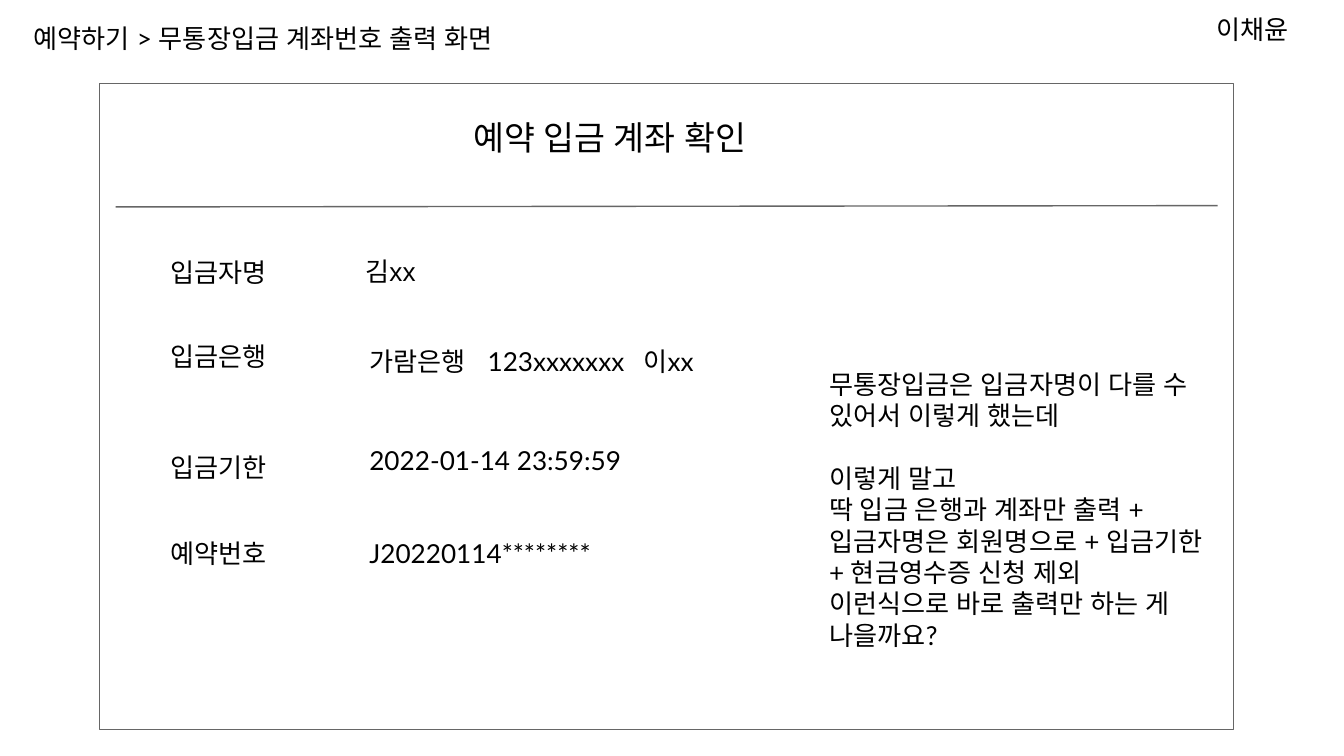
from dataclasses import dataclass

from lxml import etree
from pptx import Presentation
from pptx.dml.color import RGBColor
from pptx.enum.shapes import MSO_CONNECTOR, MSO_SHAPE
from pptx.enum.text import MSO_ANCHOR, MSO_AUTO_SIZE, PP_ALIGN
from pptx.oxml.ns import qn
from pptx.util import Inches, Pt

LEFT = PP_ALIGN.LEFT
TOP, MIDDLE = MSO_ANCHOR.TOP, MSO_ANCHOR.MIDDLE
GROW, FIXED = MSO_AUTO_SIZE.SHAPE_TO_FIT_TEXT, MSO_AUTO_SIZE.NONE
RECT, STRAIGHT = MSO_SHAPE.RECTANGLE, MSO_CONNECTOR.STRAIGHT


@dataclass(frozen=True)
class Theme:
    text: RGBColor = RGBColor(0x00, 0x00, 0x00)
    border: RGBColor = RGBColor(0x66, 0x66, 0x66)
    font: str = "Lato"
    alt_font: str = "Arial"
    title: float = 18
    body: float = 14
    line: float = 0.75
    inset: float = 0.1


THEME = Theme()
SLIDE_W = 10
SLIDE_H = SLIDE_W * 9 / 16
LINE_H = 0.44  # height of a one-line text box


def fill_text(sp, paragraphs, size=THEME.body, font=THEME.font, anchor=TOP, auto=GROW):
    tf = sp.text_frame
    tf.text = "\n".join(paragraphs)
    tf.word_wrap = True
    tf.auto_size = auto
    tf.vertical_anchor = anchor
    tf.margin_left = tf.margin_right = Inches(THEME.inset)
    tf.margin_top = tf.margin_bottom = Inches(THEME.inset)
    for p in tf.paragraphs:
        p.alignment = LEFT
        p.space_before = Pt(0)
        for r in p.runs:
            r.font.size = Pt(size)
            r.font.name = font
            r.font.color.rgb = THEME.text
            # Hangul takes its typeface from the East Asian font element
            etree.SubElement(r._r.get_or_add_rPr(), qn("a:ea"), typeface=THEME.font)
    return tf


def add_text(s, box, paragraphs, **style):
    sp = s.shapes.add_textbox(*map(Inches, box))
    return fill_text(sp, paragraphs, **style)


def add_tab_stops(p, stops):
    tabs = etree.SubElement(p._p.get_or_add_pPr(), qn("a:tabLst"))
    for stop in stops:
        etree.SubElement(tabs, qn("a:tab"), pos=str(Inches(stop)), algn="l")


def add_page_header(s, box):
    x, y, w, _ = box
    add_text(s, (x + 0.15, y + 0.07, 6.21, LINE_H),
             ["예약하기 > 무통장입금 계좌번호 출력 화면"])
    add_text(s, (x + w - 1.05, y, 1.05, LINE_H), ["이채윤"])


def add_panel(s, box):
    x, y, w, _ = box
    frame = s.shapes.add_shape(RECT, *map(Inches, box))
    frame.shadow.inherit = False
    frame.fill.background()

    title = s.shapes.title
    title.left, title.top = Inches(x + 2.68), Inches(y + 0.15)
    title.width, title.height = Inches(3.16), Inches(0.5)
    fill_text(title, ["예약 입금 계좌 확인"], size=THEME.title)

    rule = s.shapes.add_connector(STRAIGHT, Inches(x + 0.12), Inches(y + 0.92),
                                  Inches(x + w - 0.12), Inches(y + 0.91))
    etree.SubElement(rule._element.spPr, qn("a:effectLst"))
    for sp in (frame, rule):
        sp.line.color.rgb = THEME.border
        sp.line.width = Pt(THEME.line)


def add_deposit_details(s, box):
    x, y, w, _ = box
    value_x = x + 1.48
    value_w = w - 1.48
    rows = [  # label, label offset, value, value offset
        ("입금은행", 0.63, "가람은행\t123xxxxxxx\t이xx", 0.67),
        ("입금기한", 1.46, "2022-01-14 23:59:59", 1.41),
        ("예약번호", 2.1, "J20220114********", 2.1),
    ]
    add_text(s, (x, y + 0.01, 1.22, LINE_H), ["입금자명"])
    add_text(s, (x + 1.45, y, 1.3, LINE_H), ["김xx"],
             font=THEME.alt_font, anchor=MIDDLE, auto=FIXED)
    for label, label_y, value, value_y in rows:
        add_text(s, (x, y + label_y, 1.22, LINE_H), [label])
        tf = add_text(s, (value_x, y + value_y, value_w, LINE_H), [value])
        if "\t" in value:
            add_tab_stops(tf.paragraphs[0], (0.88, 2.04))


def add_comment(s, box):
    tf = add_text(s, box, [
        "무통장입금은 입금자명이 다를 수 있어서 이렇게 했는데",
        "이렇게 말고",
        "딱 입금 은행과 계좌만 출력 + 입금자명은 회원명으로 + 입금기한 + 현금영수증 신청 제외",
        "이런식으로 바로 출력만 하는 게 나을까요?",
    ])
    tf.paragraphs[1].space_before = Pt(THEME.body * 1.2)


def main():
    prs = Presentation()
    prs.slide_width, prs.slide_height = Inches(SLIDE_W), Inches(SLIDE_H)
    s = prs.slides.add_slide(prs.slide_layouts[5])
    add_page_header(s, (0, 0, SLIDE_W, 0.51))
    add_panel(s, (0.74, 0.62, 8.44, 4.81))
    add_deposit_details(s, (1.17, 1.8, 4.64, 2.54))
    add_comment(s, (6.07, 2.64, 2.98, 2.56))
    prs.save("out.pptx")


if __name__ == "__main__":
    main()
